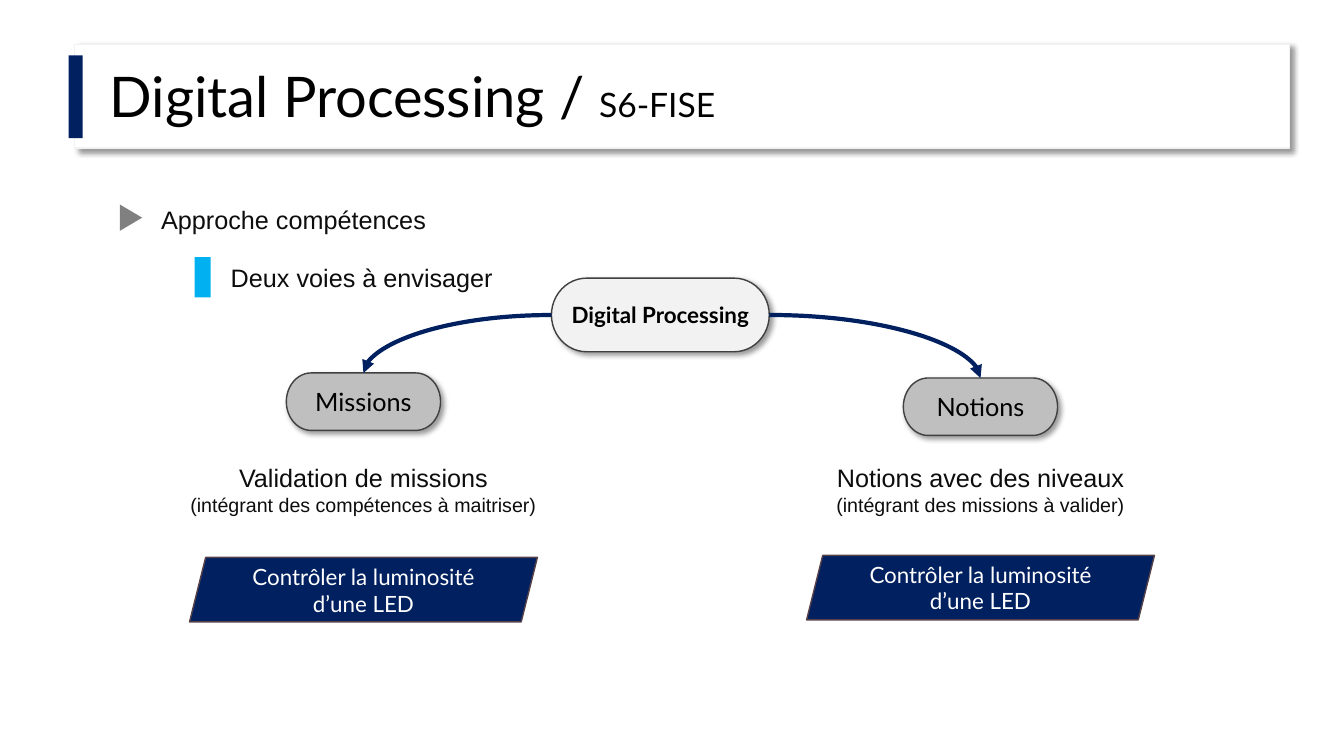
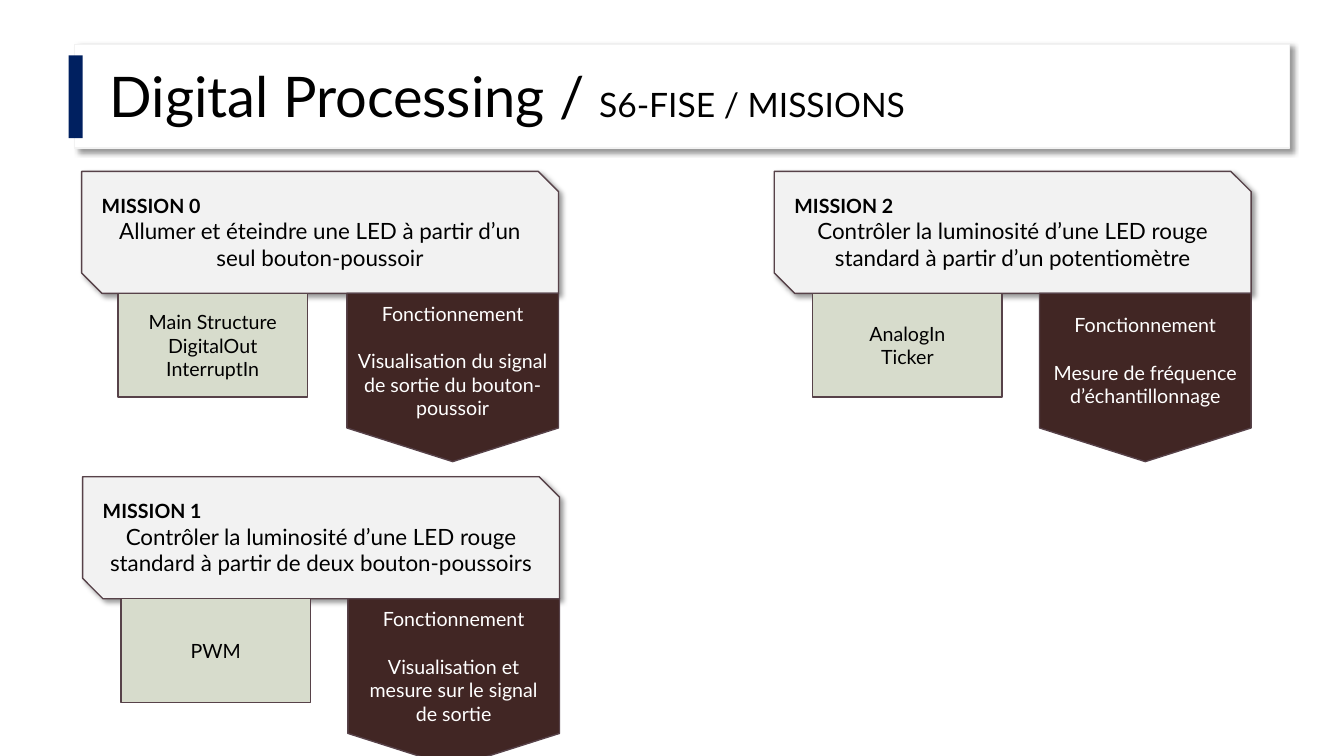
import pptx
import pptx.util
import pptx.dml.color
import pptx.enum.shapes
import pptx.enum.text
import pptx.oxml
import pptx.oxml.ns
from lxml import etree

Inches = pptx.util.Inches
Pt = pptx.util.Pt
PRESET = pptx.enum.shapes.MSO_SHAPE
ALIGN = pptx.enum.text.PP_ALIGN
ANCHOR = pptx.enum.text.MSO_ANCHOR
qn = pptx.oxml.ns.qn

COLORS = {
    "white": "FFFFFF", "black": "000000", "body": "0D0D0D",
    "navy": "002060", "cyan": "00B0F0", "light": "F2F2F2",
    "gray": "808080", "silver": "BFBFBF", "dark": "404040",
    "sage": "D7DCCC", "brown": "412624", "edge": "574249",
}
SHADOW = (
    f'<a:effectLst {pptx.oxml.ns.nsdecls("a")}>'
    '<a:outerShdw blurRad="50800" dist="38100" dir="2700000" algn="tl" rotWithShape="0">'
    '<a:srgbClr val="000000"><a:alpha val="40000"/></a:srgbClr>'
    '</a:outerShdw></a:effectLst>'
)


def add_box(slide, preset, box, fill=None, line=None, shadow=False):
    """Add a preset shape, or a text box when preset is None."""
    lengths = [Inches(value) for value in box]
    if preset is None:
        shape = slide.shapes.add_textbox(*lengths)
        shape.text_frame.word_wrap = True
        return shape
    shape = slide.shapes.add_shape(preset, *lengths)
    shape.fill.solid()
    shape.fill.fore_color.rgb = pptx.dml.color.RGBColor.from_string(COLORS[fill])
    if line:
        shape.line.color.rgb = pptx.dml.color.RGBColor.from_string(COLORS[line])
        shape.line.width = Pt(1)
    else:
        shape.line.fill.background()
    shape.shadow.inherit = False
    if shadow:
        properties = shape._element.spPr
        properties.replace(properties.find(qn("a:effectLst")), pptx.oxml.parse_xml(SHADOW))
    return shape


def write(shape, paragraphs, color="black", font="Lato", align=ALIGN.CENTER,
          anchor=ANCHOR.MIDDLE, gap=0):
    """Fill a shape; each paragraph is a list of (text, size, bold) runs."""
    frame = shape.text_frame
    frame.vertical_anchor = anchor
    for index, runs in enumerate(paragraphs):
        paragraph = frame.add_paragraph() if index else frame.paragraphs[0]
        paragraph.alignment = align
        if index and gap:
            paragraph.space_before = Pt(gap)
        for text, size, bold in runs:
            run = paragraph.add_run()
            run.text = text
            run.font.name = font
            run.font.size = Pt(size)
            run.font.bold = bold
            run.font.color.rgb = pptx.dml.color.RGBColor.from_string(COLORS[color])


presentation = pptx.Presentation()
presentation.slide_width = Inches(13.33)
presentation.slide_height = Inches(7.5)

# Title band on every slide
slides = []
for subtitle in ("S6-FISE", "S6-FISE / MISSIONS"):
    slide = presentation.slides.add_slide(presentation.slide_layouts[6])
    add_box(slide, PRESET.RECTANGLE, (0.74, 0.44, 12.05, 1.03), "white", "light", True)
    title = add_box(slide, None, (0.99, 0.64, 11.12, 0.77))
    write(title, [[("Digital Processing / ", 40, False), (subtitle, 24, False)]],
          align=ALIGN.LEFT, anchor=ANCHOR.TOP)
    title.text_frame.paragraphs[0].line_spacing = 0.9
    add_box(slide, PRESET.RECTANGLE, (0.68, 0.55, 0.14, 0.82), "navy")
    slides.append(slide)
overview, missions = slides

# Overview: headings with their markers
marker = add_box(overview, PRESET.ISOSCELES_TRIANGLE, (1.17, 2.05, 0.26, 0.22), "gray")
marker.rotation = 90
add_box(overview, PRESET.RECTANGLE, (1.93, 2.55, 0.16, 0.4), "cyan")
for text, box in (
    ("Approche compétences", (1.5, 1.98, 5.75, 0.4)),
    ("Deux voies à envisager", (2.19, 2.55, 3.31, 0.4)),
):
    write(add_box(overview, None, box), [[(text, 18, False)]],
          "body", "Arial", ALIGN.LEFT, ANCHOR.TOP)

# Overview: root of the two paths
root = add_box(overview, PRESET.FLOWCHART_TERMINATOR, (5.47, 2.76, 2.16, 0.73),
               "light", "dark", True)
write(root, [[("Digital Processing", 16, True)]])

# Overview: each path has a node, an arrow, a description and an example
LEFT_SITE, RIGHT_SITE, TOP_SITE = 1, 3, 0
for name, node_at, site, summary, detail, text_left, example_at in (
    ("Missions", (2.84, 3.7), LEFT_SITE, "Validation de missions",
     "(intégrant des compétences à maitriser)", 1.63, (1.88, 5.53)),
    ("Notions", (8.96, 3.75), RIGHT_SITE, "Notions avec des niveaux",
     "(intégrant des missions à valider)", 7.75, (8, 5.51)),
):
    node = add_box(overview, PRESET.FLOWCHART_TERMINATOR, (*node_at, 1.53, 0.57),
                   "silver", "dark", True)
    write(node, [[(name, 18, False)]])

    arrow = overview.shapes.add_connector(pptx.enum.shapes.MSO_CONNECTOR.CURVE, 0, 0, 0, 0)
    arrow.begin_connect(root, site)
    arrow.end_connect(node, TOP_SITE)
    arrow.line.color.rgb = pptx.dml.color.RGBColor.from_string(COLORS["navy"])
    arrow.line.width = Pt(3)
    properties = arrow._element.spPr
    properties.find(qn("a:prstGeom")).set("prst", "curvedConnector2")
    etree.SubElement(properties.find(qn("a:ln")), qn("a:tailEnd"), type="triangle")
    etree.SubElement(properties, qn("a:effectLst"))

    description = add_box(overview, None, (text_left, 4.54, 3.95, 0.64))
    write(description, [[(summary, 18, False)], [(detail, 14, False)]],
          "body", "Arial", anchor=ANCHOR.TOP)
    example = add_box(overview, PRESET.PARALLELOGRAM, (*example_at, 3.45, 0.64), "navy", "edge")
    write(example, [[("Contrôler la luminosité d’une LED", 16, False)]], "white")

# Missions: a card with its topics and its check hanging below
CARD_WIDTH, CARD_HEIGHT, CHECK_WIDTH = 4.73, 1.21, 2.1
for number, left, top, topics_left, goal, topics, check in (
    (0, 0.81, 1.7, 1.17, "Allumer et éteindre une LED à partir d’un seul bouton-poussoir",
     ("Main Structure", "DigitalOut", "InterruptIn"),
     "Visualisation du signal de sortie du bouton-poussoir"),
    (1, 0.82, 4.73, 1.2,
     "Contrôler la luminosité d’une LED rouge standard à partir de deux bouton-poussoirs",
     ("PWM",), "Visualisation et mesure sur le signal de sortie"),
    (2, 7.68, 1.7, 8.06,
     "Contrôler la luminosité d’une LED rouge standard à partir d’un potentiomètre",
     ("AnalogIn", "Ticker"), "Mesure de fréquence d’échantillonnage"),
):
    card = add_box(missions, PRESET.SNIP_2_DIAG_RECTANGLE, (left, top, CARD_WIDTH, CARD_HEIGHT),
                   "light", "edge", True)
    write(card, [[(f"MISSION {number}", 14, True)], [(goal, 16, False)]])
    card.text_frame.paragraphs[0].alignment = ALIGN.LEFT

    below = top + CARD_HEIGHT
    topic_box = add_box(missions, PRESET.RECTANGLE, (topics_left, below, 1.88, 1.03),
                        "sage", "edge")
    write(topic_box, [[(topic, 14, False)] for topic in topics])
    check_left = left + CARD_WIDTH - CHECK_WIDTH
    check_box = add_box(missions, PRESET.FLOWCHART_OFFPAGE_CONNECTOR,
                        (check_left, below, CHECK_WIDTH, 1.67), "brown", "edge")
    write(check_box, [[("Fonctionnement", 14, False)], [(check, 14, False)]], "white", gap=17)

presentation.save("out.pptx")
